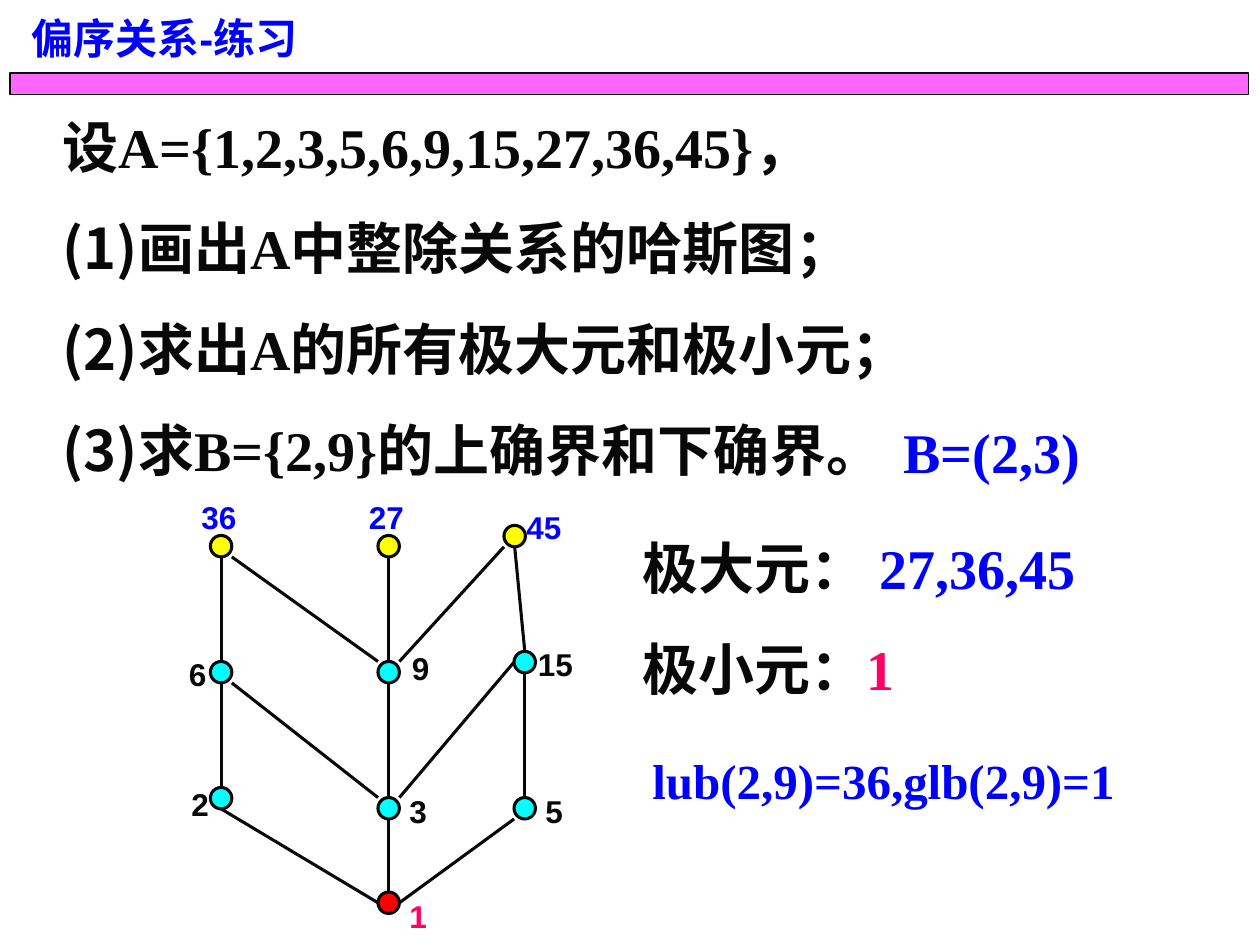
from lxml import etree
from pptx import Presentation
from pptx.dml.color import RGBColor
from pptx.enum import shapes, text
from pptx.oxml.ns import qn
from pptx.util import Inches, Pt

INK = RGBColor(0x08, 0x08, 0x08)
BLUE = RGBColor(0x00, 0x00, 0xFF)
PINK = RGBColor(0xFF, 0x00, 0x66)
BAR = RGBColor(0xFF, 0x00, 0xFF)
YELLOW = RGBColor(0xFF, 0xFF, 0x00)
CYAN = RGBColor(0x00, 0xFF, 0xFF)
RED = RGBColor(0xFF, 0x00, 0x00)
SANS, HAN, SERIF = "Arial", "Noto Sans CJK SC", "Times New Roman"
DOT = 0.17

# number: (dot left, dot top, fill, label left, label top, label width, label colour)
NODES = {
    36: (1.67, 4.25, YELLOW, 1.5, 3.75, 0.48, BLUE),
    27: (3, 4.25, YELLOW, 2.83, 3.75, 0.48, BLUE),
    45: (4, 4.17, YELLOW, 4.08, 3.83, 0.48, BLUE),
    6: (1.67, 5.25, CYAN, 1.4, 5, 0.34, INK),
    9: (3, 5.25, CYAN, 3.17, 4.95, 0.34, INK),
    15: (4.08, 5.17, CYAN, 4.17, 4.92, 0.48, INK),
    2: (1.67, 6.25, CYAN, 1.42, 6.03, 0.34, INK),
    3: (3, 6.33, CYAN, 3.15, 6.09, 0.34, INK),
    5: (4.08, 6.33, CYAN, 4.23, 6.09, 0.34, INK),
    1: (3, 7.08, RED, 3.15, 6.92, 0.34, PINK),
}

# anchors, as fractions of a dot's box
TOP, BASE, LEFT, RIGHT = (0.5, 0), (0.5, 1), (0, 0.5), (1, 0.5)
NW, NE, SW, SE = (0, 0), (1, 0), (0, 1), (1, 1)
EDGES = [
    (36, SE, 9, NW), (27, BASE, 9, TOP), (45, SW, 9, NE),
    (45, BASE, 15, TOP), (36, BASE, 6, TOP), (6, SE, 3, NW),
    (9, BASE, 3, TOP), (15, LEFT, 3, NE), (2, BASE, 1, LEFT),
    (5, SW, 1, RIGHT), (6, BASE, 2, TOP), (3, BASE, 1, TOP),
    (15, BASE, 5, TOP),
]


def add_text(parent, box, lines, size, wrap=True):
    """Each line is a list of (words, font, colour) runs."""
    frame = parent.add_textbox(*map(Inches, box)).text_frame
    frame.word_wrap = wrap
    frame.auto_size = text.MSO_AUTO_SIZE.SHAPE_TO_FIT_TEXT
    for i, line in enumerate(lines):
        para = frame.add_paragraph() if i else frame.paragraphs[0]
        para.line_spacing = 1.5
        para.font.size, para.font.bold = Pt(size), True
        for words, face, color in line:
            run = para.add_run()
            run.text = words
            run.font.size, run.font.bold = Pt(size), True
            run.font.name, run.font.color.rgb = face, color
            east = etree.SubElement(run.font._element, qn("a:ea"))
            east.set("typeface", HAN)


def add_solid(parent, kind, box, fill, weight):
    shape = parent.add_shape(kind, *map(Inches, box))
    shape.shadow.inherit = False
    shape.fill.solid()
    shape.fill.fore_color.rgb = fill
    shape.line.color.rgb, shape.line.width = INK, Pt(weight)
    return shape


def add_bar(slide):
    bar = add_solid(slide.shapes, shapes.MSO_SHAPE.RECTANGLE,
                    (0.08, 0.58, 9.83, 0.17), BAR, 0.75)
    color = bar._element.spPr.find(qn("a:solidFill"))[0]
    etree.SubElement(color, qn("a:alpha")).set("val", "60000")


def spot(num, anchor):
    x, y = NODES[num][:2]
    return Inches(x + DOT * anchor[0]), Inches(y + DOT * anchor[1])


def add_edge(parent, high, start, low, end):
    line = parent.add_connector(shapes.MSO_CONNECTOR.STRAIGHT,
                                *spot(high, start), *spot(low, end))
    line.line.color.rgb, line.line.width = INK, Pt(1.75)
    etree.SubElement(line._element.spPr, qn("a:effectLst"))


def add_hasse(slide):
    group = slide.shapes.add_group_shape().shapes
    for num, (x, y, fill, left, top, wide, color) in NODES.items():
        add_solid(group, shapes.MSO_SHAPE.OVAL, (x, y, DOT, DOT), fill, 1.75)
        add_text(group, (left, top, wide, 0.55),
                 [[(str(num), SANS, color)]], 18, wrap=False)
    for edge in EDGES:
        add_edge(group, *edge)


def main():
    deck = Presentation()
    deck.slide_width, deck.slide_height = Inches(10), Inches(7.5)
    slide = deck.slides.add_slide(deck.slide_layouts[6])
    add_bar(slide)
    add_text(slide.shapes, (0.15, -0.15, 3.18, 0.7),
             [[("偏序关系-练习", SANS, BLUE)]], 24)
    tasks = [
        ("设", "A={1,2,3,5,6,9,15,27,36,45}", "，"),
        ("(1)画出", "A", "中整除关系的哈斯图；"),
        ("(2)求出", "A", "的所有极大元和极小元；"),
        ("(3)求", "B={2,9}", "的上确界和下确界。"),
    ]
    add_text(slide.shapes, (0.4, 0.58, 8.93, 3.3),
             [[(words, face, INK) for words, face in zip(task, (HAN, SERIF, HAN))]
              for task in tasks], 32)
    add_hasse(slide)
    add_text(slide.shapes, (5, 3.92, 4.27, 1.7),
             [[("极大元： ", SERIF, INK), ("27,36,45", SERIF, BLUE)],
              [("极小元：", SERIF, INK), ("1", SERIF, PINK)]], 32)
    add_text(slide.shapes, (5.08, 5.67, 4.5, 0.8),
             [[("lub(2,9)=36,glb(2,9)=1", SERIF, BLUE)]], 28)
    add_text(slide.shapes, (7.07, 3, 2.18, 0.9),
             [[("B=(2,3)", SERIF, BLUE)]], 32)
    deck.save("out.pptx")


if __name__ == "__main__":
    main()
